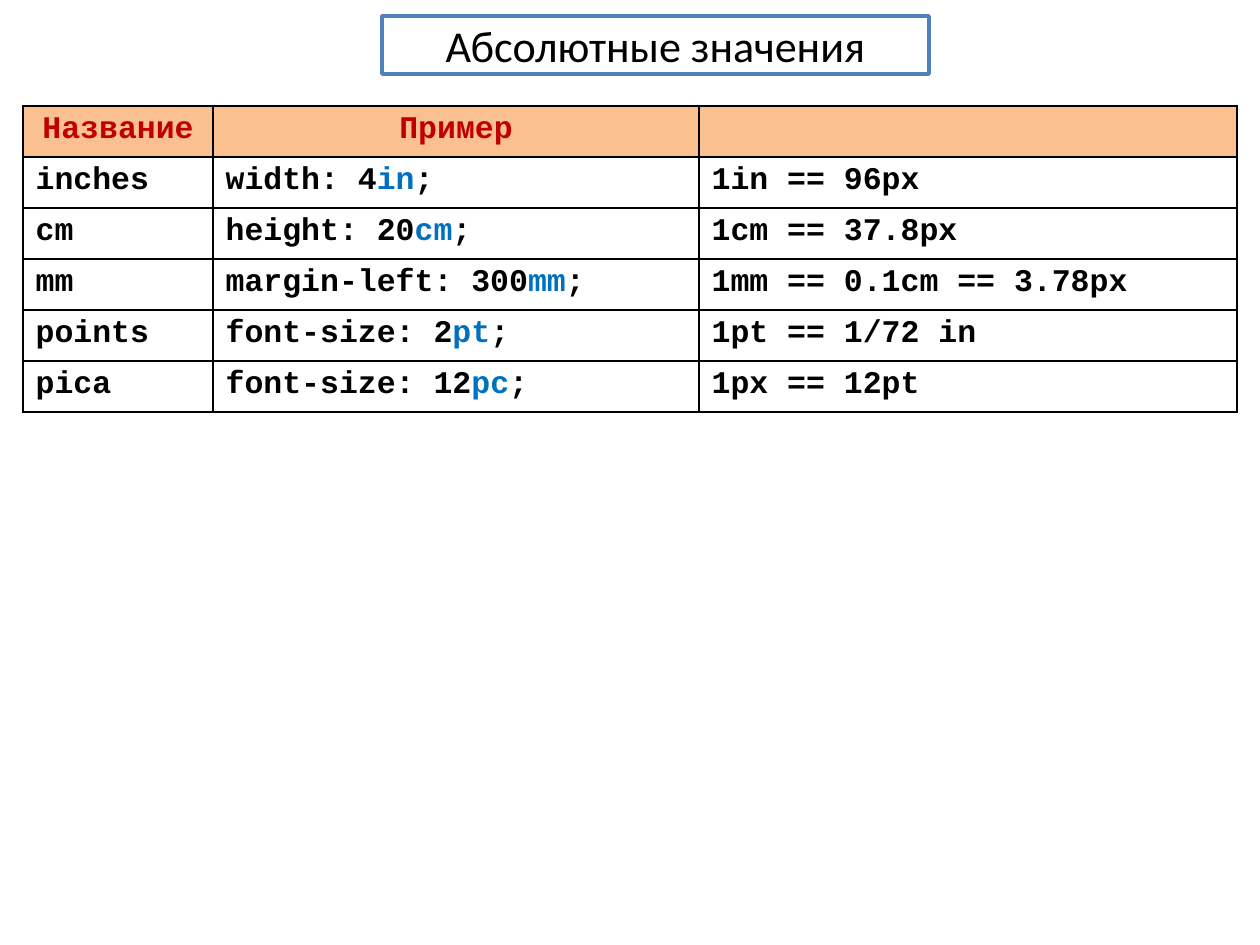
"""Build a slide with a table of absolute CSS length units."""
from lxml import etree
from pptx import Presentation
from pptx.dml.color import RGBColor
from pptx.enum.text import MSO_ANCHOR, MSO_AUTO_SIZE, PP_ALIGN
from pptx.oxml.ns import qn
from pptx.util import Emu, Inches, Pt

CENTER, LEFT = PP_ALIGN.CENTER, PP_ALIGN.LEFT
MIDDLE = MSO_ANCHOR.MIDDLE
NO_AUTOFIT = MSO_AUTO_SIZE.NONE

BLACK = RGBColor(0x00, 0x00, 0x00)
WHITE = RGBColor(0xFF, 0xFF, 0xFF)
FRAME_BLUE = RGBColor(0x4F, 0x81, 0xBD)
UNIT_BLUE = RGBColor(0x00, 0x70, 0xC0)
HEADER_RED = RGBColor(0xC0, 0x00, 0x00)
HEADER_FILL = RGBColor(0xFA, 0xC0, 0x90)

PX_PER_INCH = 126
TITLE_LAYOUT = 5
COLUMN_WIDTHS = (190, 486, 538)
ROW_HEIGHT = 51
HEADERS = ("Название", "Пример", "")
UNITS = (
    ("inches", "width: 4", "in", "1in == 96px"),
    ("cm", "height: 20", "cm", "1cm == 37.8px"),
    ("mm", "margin-left: 300", "mm", "1mm == 0.1cm == 3.78px"),
    ("points", "font-size: 2", "pt", "1pt == 1/72 in"),
    ("pica", "font-size: 12", "pc", "1px == 12pt"),
)


def px(length):
    """Turn whole pixels into EMU."""
    return Emu(round(length * Inches(1) / PX_PER_INCH))


def add_text(para, text, *, size=18, font="Courier New", color=BLACK,
             bold=True, align=LEFT):
    """Append one formatted span to a paragraph."""
    para.alignment = align
    span = para.add_run()
    span.text = text
    span.font.size = Pt(size)
    span.font.name = font
    span.font.bold = bold
    span.font.color.rgb = color


def add_title(page, text):
    """Place the framed title."""
    box = page.shapes.title
    box.left, box.top, box.width, box.height = map(px, (382, 16, 547, 58))
    box.fill.solid()
    box.fill.fore_color.rgb = WHITE
    box.line.color.rgb = FRAME_BLUE
    box.line.width = Pt(2)
    frame = box.text_frame
    frame.auto_size = NO_AUTOFIT
    frame.vertical_anchor = MIDDLE
    add_text(frame.paragraphs[0], text, size=25.2, font="Calibri",
             bold=False, align=CENTER)


def format_cell(cell, fill):
    """Give a cell its fill and thin black borders."""
    properties = cell._tc.get_or_add_tcPr()
    for side in ("a:lnL", "a:lnR", "a:lnT", "a:lnB"):
        border = etree.SubElement(properties, qn(side), w=str(Pt(1)))
        solid = etree.SubElement(border, qn("a:solidFill"))
        etree.SubElement(solid, qn("a:srgbClr"), val=str(BLACK))
    if fill is None:
        cell.fill.background()
    else:
        cell.fill.solid()
        cell.fill.fore_color.rgb = fill


def add_row(table, index, contents, *, fill=None, align=LEFT):
    """Fill one row, given the (text, color) spans of each cell."""
    table.rows[index].height = px(ROW_HEIGHT)
    for cell, spans in zip(table.rows[index].cells, contents):
        format_cell(cell, fill)
        for text, color in spans:
            add_text(cell.text_frame.paragraphs[0], text, color=color,
                     align=align)


def add_unit_table(page):
    """Add the table of units with its header row."""
    row_count = len(UNITS) + 1
    table = page.shapes.add_table(
        row_count, len(COLUMN_WIDTHS), px(23), px(106),
        px(sum(COLUMN_WIDTHS)), px(ROW_HEIGHT * row_count)).table
    for column, width in zip(table.columns, COLUMN_WIDTHS):
        column.width = px(width)
    headers = [[(text, HEADER_RED)] if text else [] for text in HEADERS]
    add_row(table, 0, headers, fill=HEADER_FILL, align=CENTER)
    for index, (name, rule, unit, value) in enumerate(UNITS, start=1):
        example = [(rule, BLACK), (unit, UNIT_BLUE), (";", BLACK)]
        add_row(table, index, ([(name, BLACK)], example, [(value, BLACK)]))


def main():
    """Build and save the deck."""
    deck = Presentation()
    deck.slide_width, deck.slide_height = px(1260), px(945)
    page = deck.slides.add_slide(deck.slide_layouts[TITLE_LAYOUT])
    add_title(page, "Абсолютные значения")
    add_unit_table(page)
    deck.save("out.pptx")


if __name__ == "__main__":
    main()
